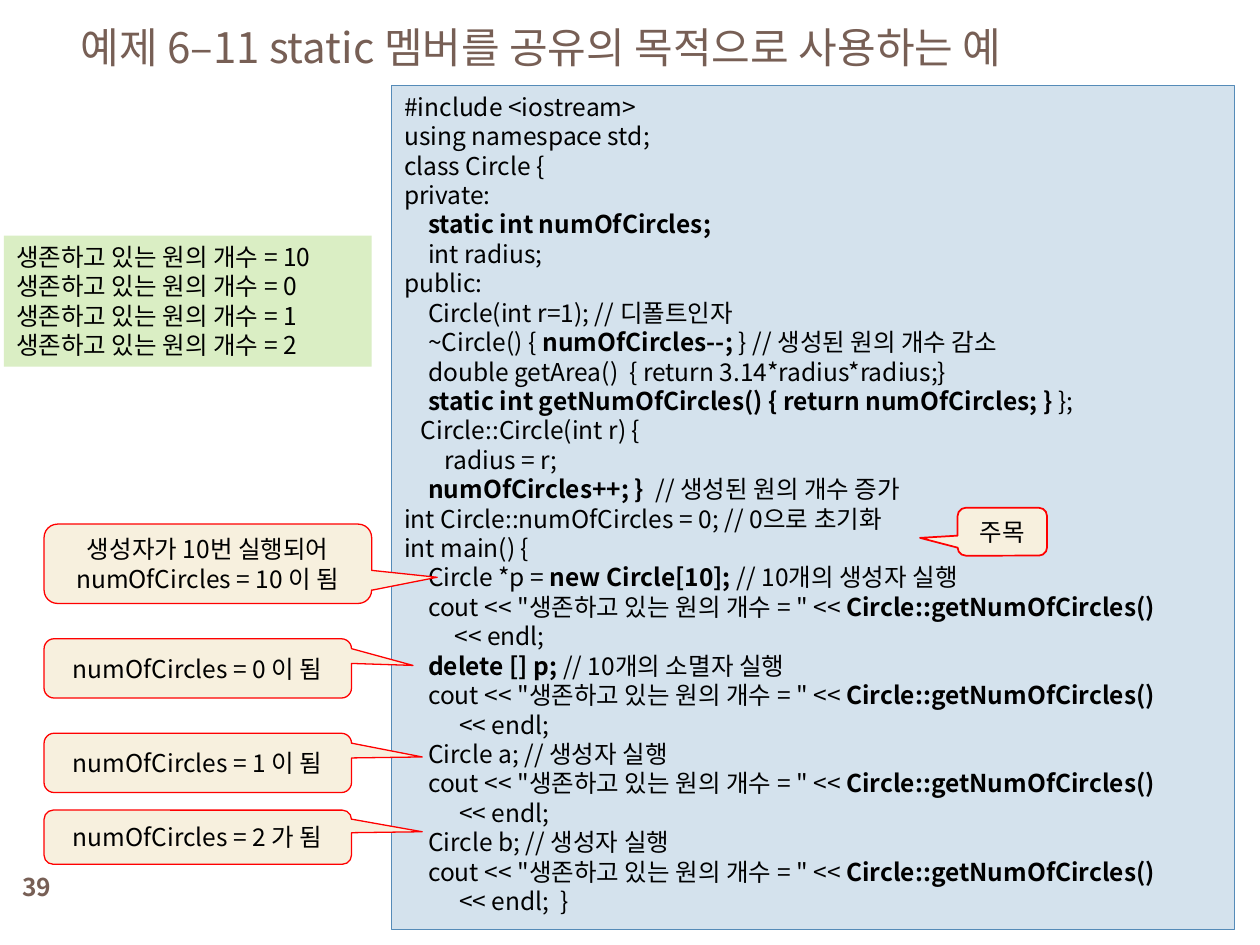
from lxml.etree import SubElement
from pptx import Presentation
from pptx.dml.color import RGBColor
from pptx.enum.shapes import MSO_SHAPE
from pptx.enum.text import MSO_ANCHOR, MSO_AUTO_SIZE, PP_ALIGN
from pptx.oxml.ns import qn
from pptx.util import Inches, Pt

COUNT = "\tcout << \"생존하고 있는 원의 개수 = \" << **Circle::getNumOfCircles()**"
ENDL = "          << endl;"

# Double asterisks switch bold on and off.
CODE = [
    "#include <iostream>",
    "using namespace std;",
    "class Circle {",
    "private:",
    "\t**static int numOfCircles;**",
    "\tint radius;",
    "public:",
    "\tCircle(int r=1); // 디폴트인자",
    "\t~Circle() { **numOfCircles--; **} // 생성된 원의 개수 감소",
    "\tdouble getArea()  { return 3.14*radius*radius;}",
    "\t**static int getNumOfCircles() { return numOfCircles; } **};",
    "   Circle::Circle(int r) {",
    "\t   radius = r;",
    "   \t**numOfCircles++; }  **// 생성된 원의 개수 증가",
    "int Circle::numOfCircles = 0; // 0으로 초기화",
    "int main() {",
    "\tCircle *p = **new Circle[10]; **// 10개의 생성자 실행",
    COUNT,
    "**         **<< endl;",
    "\t**delete [] p; **// 10개의 소멸자 실행",
    COUNT,
    ENDL,
    "\tCircle a; // 생성자 실행",
    COUNT,
    ENDL,
    "\tCircle b; // 생성자 실행",
    COUNT,
    ENDL + "  }",
]
OUTPUT = [f"생존하고 있는 원의 개수 = {n}" for n in (10, 0, 1, 2)]

# text lines, box, pointer tip, line width
CALLOUTS = [
    (["주목"], (7.6, 4.03, 0.71, 0.38), (-0.92, 0.13), 1),
    (["생성자가 10번 실행되어", "numOfCircles = 10 이 됨"],
     (0.35, 4.16, 2.6, 0.63), (0.7, 0.17), 0.75),
    (["numOfCircles = 0 이 됨"], (0.35, 5.07, 2.44, 0.47), (0.7, -0.05), 0.75),
    (["numOfCircles = 1 이 됨"], (0.35, 5.82, 2.44, 0.47), (0.73, -0.1), 0.75),
    (["numOfCircles = 2 가 됨"], (0.35, 6.43, 2.44, 0.43), (0.73, -0.1), 0.75),
]


def rgb(value):
    return RGBColor.from_string(value)


def write(tf, lines, size=14, color="000000", bold=False, align=PP_ALIGN.LEFT,
          anchor=MSO_ANCHOR.TOP, pitch=None, tab=None, font="Noto Sans CJK KR"):
    """Fill a text frame; pitch is the line distance in points, tab in inches."""
    tf.word_wrap = True
    tf.auto_size = MSO_AUTO_SIZE.NONE
    tf.vertical_anchor = anchor
    for i, line in enumerate(lines):
        p = tf.paragraphs[0] if i == 0 else tf.add_paragraph()
        p.alignment = align
        if tab:
            tabs = SubElement(p._p.get_or_add_pPr(), qn("a:tabLst"))
            SubElement(tabs, qn("a:tab"), pos=str(Inches(tab)), algn="l")
        if pitch:
            p.line_spacing = Pt(pitch)
        for j, part in enumerate(line.split("**")):
            if not part:
                continue
            r = p.add_run()
            r.text = part
            r.font.size = Pt(size)
            r.font.bold = bold or j % 2 == 1
            r.font.color.rgb = rgb(color)
            r.font.name = font
            SubElement(r._r.get_or_add_rPr(), qn("a:ea"), typeface=font)


class Deck:
    """Holds the slide and the shared colours."""
    brown, red = "775F55", "FF0000"
    code_fill, code_line = "D4E2ED", "558BB8"
    output_fill, callout_fill = "DAEEC4", "F7F0DE"

    def __init__(self, prs):
        self.s = prs.slides.add_slide(prs.slide_layouts[5])

    def title(self, text, box):
        sp = self.s.shapes.title
        sp.left, sp.top, sp.width, sp.height = map(Inches, box)
        write(sp.text_frame, [text], size=24, color=self.brown,
              anchor=MSO_ANCHOR.MIDDLE)

    def number(self, text, box):
        sp = self.s.shapes.add_textbox(*map(Inches, box))
        write(sp.text_frame, [text], color=self.brown, bold=True,
              align=PP_ALIGN.CENTER, anchor=MSO_ANCHOR.MIDDLE)

    def panel(self, lines, box, fill, line=None, width=0.75,
              kind=MSO_SHAPE.RECTANGLE, **style):
        sp = self.s.shapes.add_shape(kind, *map(Inches, box))
        sp.shadow.inherit = False
        sp.fill.solid()
        sp.fill.fore_color.rgb = rgb(fill)
        if line:
            sp.line.color.rgb = rgb(line)
            sp.line.width = Pt(width)
        else:
            sp.line.fill.background()
        write(sp.text_frame, lines, pitch=16.8, **style)
        return sp

    def callout(self, lines, box, tip, width):
        sp = self.panel(lines, box, self.callout_fill, self.red, width,
                        MSO_SHAPE.ROUNDED_RECTANGULAR_CALLOUT,
                        align=PP_ALIGN.CENTER, anchor=MSO_ANCHOR.MIDDLE)
        sp.adjustments[0], sp.adjustments[1] = tip
        sp.adjustments[2] = 0.17


def main():
    prs = Presentation()
    prs.slide_width, prs.slide_height = Inches(10), Inches(7.5)
    deck = Deck(prs)
    deck.number("39", (0, 6.83, 0.58, 0.42))
    deck.title("예제 6–11 static 멤버를 공유의 목적으로 사용하는 예", (0.54, 0, 8.92, 0.74))
    deck.panel(CODE, (3.11, 0.68, 6.69, 6.7), deck.code_fill, deck.code_line, tab=0.19)
    deck.panel(OUTPUT, (0.03, 1.87, 2.92, 1.04), deck.output_fill)
    for callout in CALLOUTS:
        deck.callout(*callout)
    prs.save("out.pptx")


if __name__ == "__main__":
    main()
